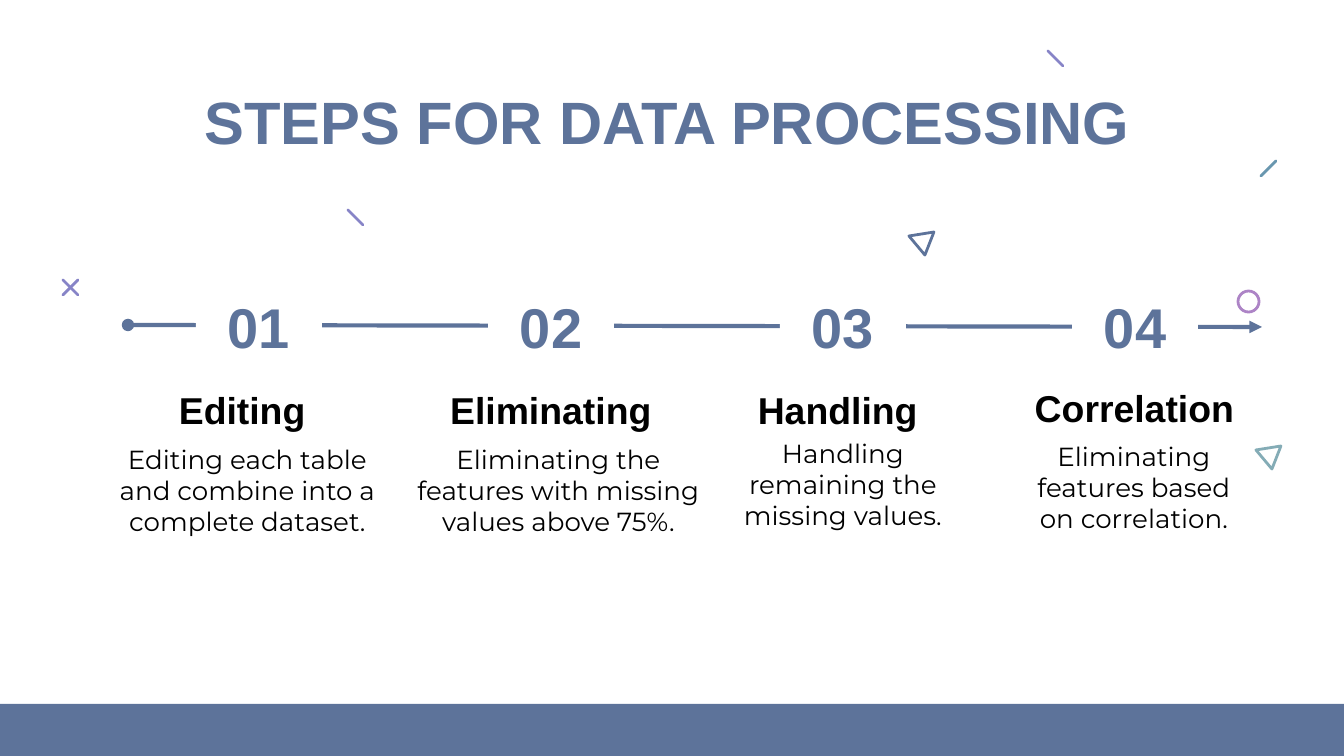
from pptx import Presentation
from pptx.dml.color import RGBColor
from pptx.enum.shapes import MSO_CONNECTOR, MSO_SHAPE
from pptx.enum.text import MSO_ANCHOR, MSO_AUTO_SIZE, PP_ALIGN
from pptx.oxml.ns import qn
from pptx.util import Pt
from lxml import etree

RECT, OVAL = MSO_SHAPE.RECTANGLE, MSO_SHAPE.OVAL
LINE = MSO_CONNECTOR.STRAIGHT
MID, TOP = MSO_ANCHOR.MIDDLE, MSO_ANCHOR.TOP
CENTER, FIXED = PP_ALIGN.CENTER, MSO_AUTO_SIZE.NONE

THEME = {
    "blue": "5D739A", "violet": "8784C7", "teal": "6997AF",
    "mist": "84ACB6", "plum": "AD84C6", "white": "FFFFFF", "black": "000000",
    "title": ("Arial", 32, True, "blue"),
    "number": ("Arial", 30, True, "blue"),
    "head": ("Arial", 20, True, "black"),
    "body": ("Montserrat", 14, False, "black"),
    "thin": 1.5, "thick": 2.25,
}

TITLE = "STEPS FOR DATA PROCESSING"
STEPS = [
    ("Editing ", (114, 386, 267, 47),
     "Editing each table and combine into a complete dataset.", (101, 430, 293, 156)),
    ("Eliminating", (430, 386, 242, 47),
     "Eliminating the features with missing values above 75%.", (402, 430, 313, 117)),
    ("Handling ", (722, 386, 242, 47),
     "Handling remaining the missing values.", (722, 424, 242, 125)),
    ("Correlation", (1001, 384, 267, 47),
     "Eliminating features based on correlation.", (1013, 427, 242, 125)),
]
DASHES = [
    ("teal", 1276, 161, -15), ("violet", 78, 280, -15), ("violet", 63, 280, 15),
    ("violet", 1048, 51, 15), ("violet", 348, 210, 15),
]
WEDGES = [("mist", 1281, 446), ("blue", 934, 232)]
WEDGE = [(-25, 4), (-9, 23)]
RING = (1238, 291, 21, 21)
FLOW = (128, 325, 1262, 327)
FIRST, STEP = (196, 284, 126, 85), 292
BAND = (0, 704, 1344, 52)
WIDE, HIGH, INSET = 1344, 756, 13
SCALE = 914400 / 134.4


def px(*nums):
    return [round(n * SCALE) for n in nums]


def color(name):
    return RGBColor.from_string(THEME[name])


def paint(shape, name):
    shape.fill.solid()
    shape.fill.fore_color.rgb = color(name)


def stroke(shape, name, size):
    shape.line.color.rgb = color(name)
    shape.line.width = Pt(size)
    ln = shape.line._get_or_add_ln()
    ln.set("cap", "rnd" if size == THEME["thin"] else "flat")
    return ln


def write(shape, words, style, anchor=MID, after=0):
    face, size, bold, ink = THEME[style]
    frame = shape.text_frame
    frame.word_wrap = True
    frame.auto_size = FIXED
    frame.vertical_anchor = anchor
    inset = px(INSET)[0]
    frame.margin_left = frame.margin_right = inset
    frame.margin_top = frame.margin_bottom = inset
    para = frame.paragraphs[0]
    para.alignment = CENTER
    para.space_before, para.space_after = Pt(0), Pt(after)
    para.line_spacing = 1.0
    run = para.add_run()
    run.text = words
    run.font.name, run.font.size, run.font.bold = face, Pt(size), bold
    run.font.color.rgb = color(ink)


def block(shapes, kind, box, fill=None):
    shape = shapes.add_shape(kind, *px(*box))
    shape.shadow.inherit = False
    if fill:
        paint(shape, fill)
        shape.line.fill.background()
    else:
        shape.fill.background()
    return shape


def link(shapes, ends, name, size):
    line = shapes.add_connector(LINE, *px(*ends))
    ln = stroke(line, name, size)
    etree.SubElement(line._element.spPr, qn("a:effectLst"))
    return ln


def wedge(shapes, name, x, y):
    path = shapes.build_freeform(*px(x, y), scale=1.0)
    path.add_line_segments([px(x + dx, y + dy) for dx, dy in WEDGE], close=True)
    shape = path.convert_to_shape()
    shape.shadow.inherit = False
    shape.fill.background()
    stroke(shape, name, THEME["thin"])


def main():
    deck = Presentation()
    deck.slide_width, deck.slide_height = px(WIDE, HIGH)
    slide = deck.slides.add_slide(deck.slide_layouts[5])
    shapes = slide.shapes

    title = shapes.title
    title.left, title.top, title.width, title.height = px(101, 78, 1133, 85)
    write(title, TITLE, "title")

    block(shapes, RECT, BAND, "blue")
    for name, x, y, dx in DASHES:
        link(shapes, (x, y, x + dx, y + 15), name, THEME["thin"])
    for name, x, y in WEDGES:
        wedge(shapes, name, x, y)
    stroke(block(shapes, OVAL, RING), "plum", THEME["thin"])

    for head, spot, body, area in STEPS:
        write(shapes.add_textbox(*px(*spot)), head, "head")
        write(shapes.add_textbox(*px(*area)), body, "body", TOP, 12)

    ln = link(shapes, FLOW, "blue", THEME["thick"])
    for tag, kind in (("a:headEnd", "oval"), ("a:tailEnd", "triangle")):
        etree.SubElement(ln, qn(tag), type=kind)

    x, y, w, h = FIRST
    for i in range(len(STEPS)):
        cell = block(shapes, RECT, (x + i * STEP, y, w, h), "white")
        write(cell, f"{i + 1:02}", "number")

    deck.save("out.pptx")


if __name__ == "__main__":
    main()
